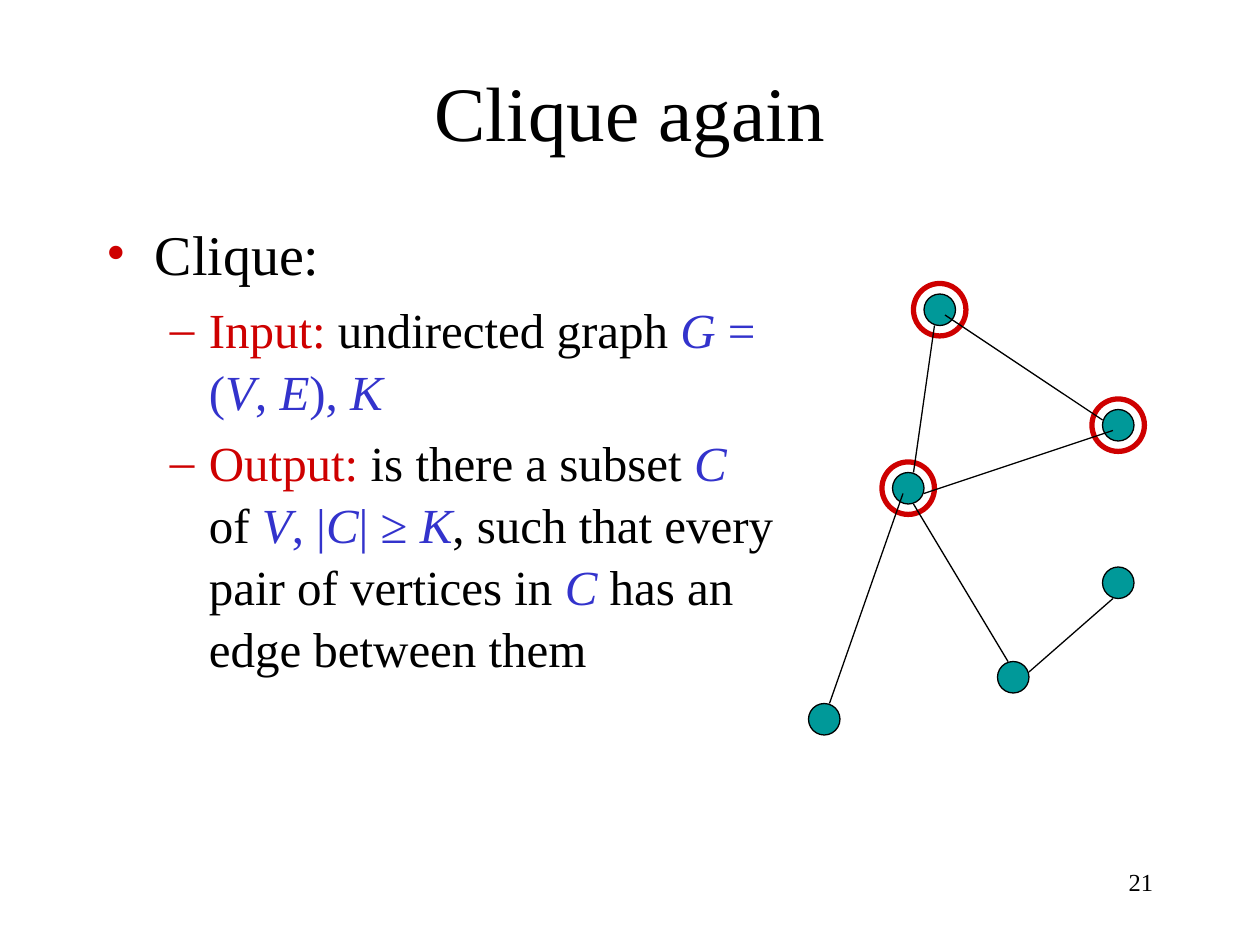
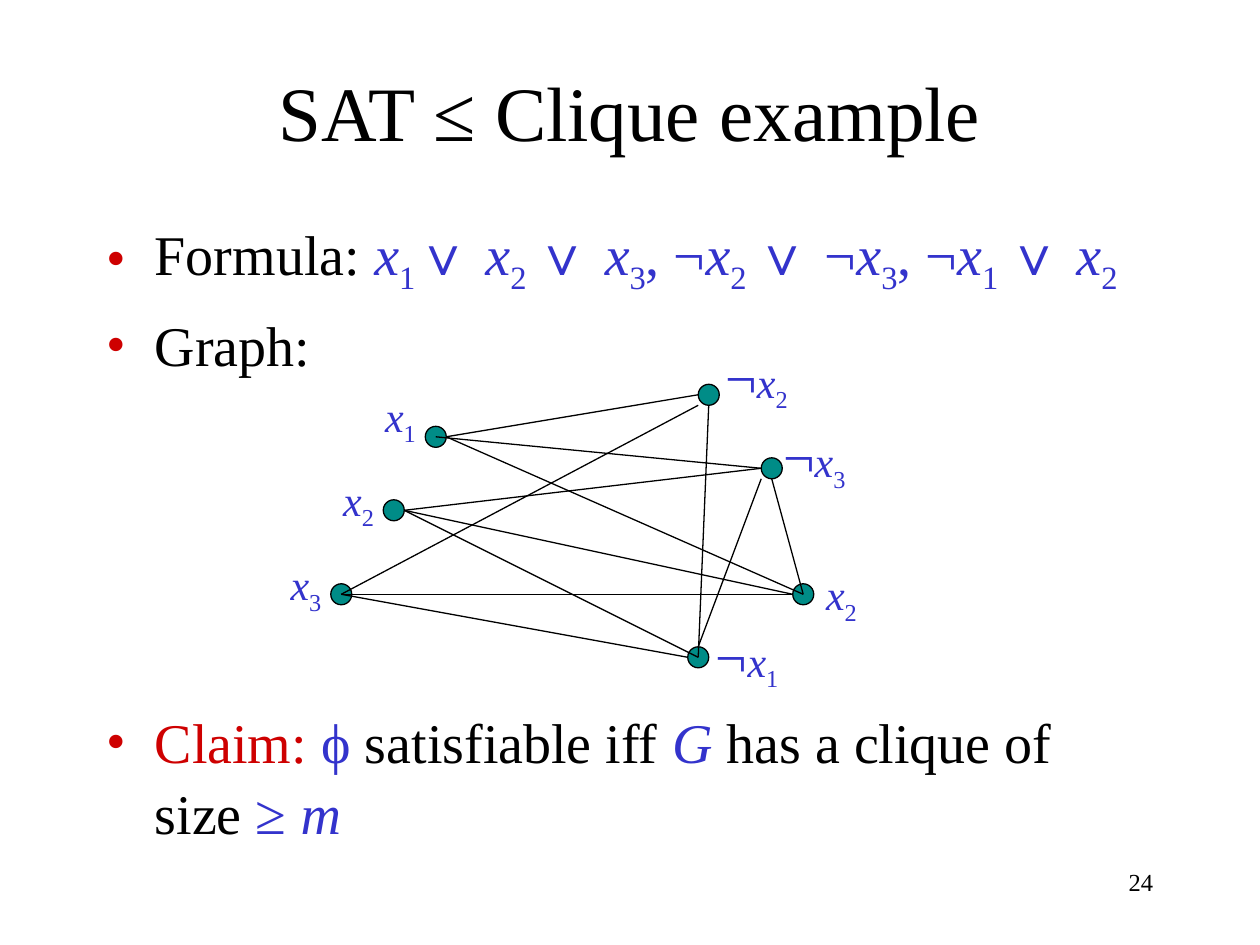
import pptx
import pptx.dml.color
import pptx.enum.shapes
import pptx.enum.text
import pptx.oxml
import pptx.oxml.ns
import pptx.util
from dataclasses import dataclass

Pt = pptx.util.Pt
RGB = pptx.dml.color.RGBColor.from_string
ALIGN = pptx.enum.text.PP_ALIGN
ANCHOR = pptx.enum.text.MSO_ANCHOR
OVAL = pptx.enum.shapes.MSO_SHAPE.OVAL
STRAIGHT = pptx.enum.shapes.MSO_CONNECTOR.STRAIGHT
NS = pptx.oxml.ns.nsdecls("a")


@dataclass(frozen=True)
class Theme:
    font: str = "Times New Roman"
    ink: str = "000000"
    red: str = "CE0000"
    blue: str = "3333CC"
    title: int = 44
    levels: tuple = (32, 28)
    label: int = 24
    footer: int = 14
    edge: float = 0.75
    ring: float = 3


T = Theme()
STYLES = {
    "plain": dict(color=T.ink),
    "key": dict(color=T.red),
    "math": dict(color=T.blue),
    "var": dict(color=T.blue, italic=True),
    "sub": dict(color=T.blue, sub=True),
}
BULLETS = (("•", 0.38, -0.38), ("–", 0.81, -0.31))

prs = pptx.Presentation()
prs.slide_width = pptx.util.Inches(10)
prs.slide_height = pptx.util.Inches(7.5)
COLUMNS, ROWS = 120, 90
CELL = prs.slide_width / COLUMNS


def write(p, text, size, color=T.ink, italic=False, sub=False):
    r = p.add_run()
    r.text = text
    r.font.name = T.font
    r.font.size = Pt(size)
    r.font.italic = italic
    r.font.color.rgb = RGB(color)
    if sub:
        r._r.get_or_add_rPr().set("baseline", "-25000")


def cells(*values):
    return [round(v * CELL) for v in values]


def_slides = [
    dict(
        title="Clique again", number="21", body_width=66,
        body=[
            (0, 0, [("Clique:", "plain")]),
            (1, 5.6, [("Input:", "key"), (" undirected graph ", "plain"), ("G", "var"),
                      (" = (", "math"), ("V", "var"), (", ", "math"), ("E", "var"),
                      ("), ", "math"), ("K", "var")]),
            (1, 5.6, [("Output:", "key"), (" is there a subset ", "plain"), ("C ", "var"),
                      ("of ", "plain"), ("V", "var"), (", |", "math"), ("C", "var"),
                      ("| ≥ ", "math"), ("K", "var"),
                      (", such that every pair of vertices in ", "plain"), ("C ", "var"),
                      ("has an edge between them", "plain")]),
        ],
        origin=(0, 0), node_size=3, node_color="009999",
        clique=[(88, 28), (105, 39), (85, 45)],
        others=[(105, 54), (95, 63), (77, 67)],
        edges=[(89, 31, 87, 45), (90, 30, 105, 40), (88, 47, 106, 41),
               (87, 48, 96, 63), (106, 57, 98, 64), (86, 47, 79, 67)],
        labels=[],
    ),
    dict(
        title="SAT ≤ Clique example", number="24", body_width=102,
        body=[
            (0, 0, [("Formula: ", "plain"), ("x", "var"), ("1", "sub"), ("∨ ", "math"),
                    ("x", "var"), ("2 ", "sub"), ("∨ ", "math"), ("x", "var"), ("3", "sub"),
                    (", ¬", "math"), ("x", "var"), ("2 ", "sub"), ("∨ ¬", "math"),
                    ("x", "var"), ("3", "sub"), (", ¬", "math"), ("x", "var"),
                    ("1 ", "sub"), ("∨ ", "math"), ("x", "var"), ("2", "sub")]),
            (0, 6.4, [("Graph:", "plain")]),
            (0, 186.5, [("Claim: ", "key"), ("ϕ ", "math"), ("satisfiable iff ", "plain"),
                        ("G ", "var"), ("has a clique of size ", "plain"), ("≥ ", "math"),
                        ("m", "var")]),
        ],
        origin=(0.5, 0.6), node_size=2, node_color="008C87",
        clique=[],
        others=[(40, 40), (36, 47), (31, 55), (66, 36), (72, 43), (75, 55), (65, 61)],
        edges=[(42, 41, 66, 37), (41, 41, 72, 44), (42, 41, 76, 56),
               (38, 48, 72, 44), (38, 48, 75, 56), (38, 48, 66, 62),
               (32, 56, 66, 38), (32, 56, 75, 56), (32, 56, 65, 62),
               (67, 38, 66, 62), (73, 45, 76, 56), (72, 45, 66, 61)],
        labels=[(35, 36, "", "1"), (31, 44, "", "2"), (26, 52, "", "3"),
                (67.4, 31.4, "¬", "2"), (72.9, 39, "¬", "3"),
                (77, 53, "", "2"), (66.5, 58, "¬", "1")],
    ),
]

for d in def_slides:
    s = prs.slides.add_slide(prs.slide_layouts[5])
    ox, oy = d["origin"]

    sp = s.shapes.title
    sp.left, sp.top, sp.width, sp.height = cells(9, 3, 102, 15)
    tf = sp.text_frame
    tf.word_wrap = True
    tf.vertical_anchor = ANCHOR.MIDDLE
    p = tf.paragraphs[0]
    p.alignment = ALIGN.CENTER
    write(p, d["title"], T.title)

    tf = s.shapes.add_textbox(*cells(86, 82, 25, 6)).text_frame
    tf.word_wrap = True
    p = tf.paragraphs[0]
    p.alignment = ALIGN.RIGHT
    write(p, d["number"], T.footer)

    tf = s.shapes.add_textbox(*cells(9, 20, d["body_width"], 60)).text_frame
    tf.word_wrap = True
    for i, (level, gap, runs) in enumerate(d["body"]):
        p = tf.add_paragraph() if i else tf.paragraphs[0]
        p.level = level
        p.line_spacing = 1.05
        if gap:
            p.space_before = Pt(gap)
        mark, margin, indent = BULLETS[level]
        pPr = p._p.get_or_add_pPr()
        pPr.set("marL", str(pptx.util.Inches(margin)))
        pPr.set("indent", str(pptx.util.Inches(indent)))
        for xml in (f'<a:buClr {NS}><a:srgbClr val="{T.red}"/></a:buClr>',
                    f'<a:buFont {NS} typeface="{T.font}"/>',
                    f'<a:buChar {NS} char="{mark}"/>'):
            pPr.append(pptx.oxml.parse_xml(xml))
        for text, style in runs:
            write(p, text, T.levels[level], **STYLES[style])

    size = d["node_size"]
    ovals = [(x - 1, y - 1, size + 2, None, T.red, T.ring) for x, y in d["clique"]]
    ovals += [(x, y, size, d["node_color"], T.ink, T.edge) for x, y in d["clique"] + d["others"]]
    for x, y, diameter, fill, line, weight in ovals:
        sp = s.shapes.add_shape(OVAL, *cells(x + ox, y + oy, diameter, diameter))
        sp.shadow.inherit = False
        if fill:
            sp.fill.solid()
            sp.fill.fore_color.rgb = RGB(fill)
        else:
            sp.fill.background()
        sp.line.color.rgb = RGB(line)
        sp.line.width = Pt(weight)

    for x, y, sign, index in d["labels"]:
        width, height = (8.5, 7.5) if sign else (5.5, 6)
        tf = s.shapes.add_textbox(*cells(x + ox, y + oy, width, height)).text_frame
        tf.word_wrap = False
        p = tf.paragraphs[0]
        if sign:
            write(p, sign, T.levels[0], **STYLES["math"])
        write(p, "x", T.label, **STYLES["var"])
        write(p, index, T.label, **STYLES["sub"])

    for x1, y1, x2, y2 in d["edges"]:
        sp = s.shapes.add_connector(STRAIGHT, *cells(x1 + ox, y1 + oy, x2 + ox, y2 + oy))
        sp.line.color.rgb = RGB(T.ink)
        sp.line.width = Pt(T.edge)
        sp._element.spPr.append(pptx.oxml.parse_xml(f"<a:effectLst {NS}/>"))

prs.save("out.pptx")
